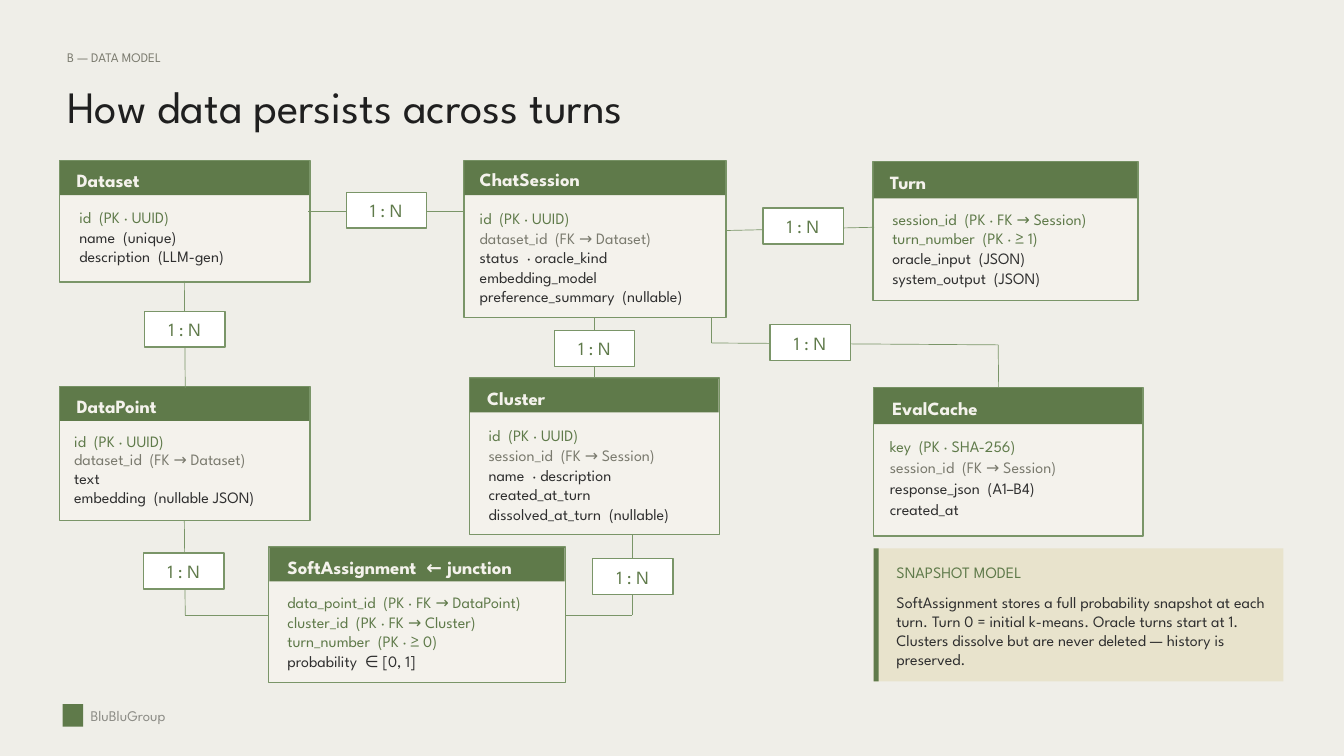
from pptx import Presentation
from pptx.dml.color import RGBColor
from pptx.enum.shapes import MSO_CONNECTOR, MSO_SHAPE
from pptx.enum.text import MSO_ANCHOR, PP_ALIGN
from pptx.oxml.ns import qn
from pptx.util import Pt
from lxml.etree import SubElement

COLORS = {
    "background": "EFEEE8",
    "panel": "F4F2EC",
    "green": "5F7A4A",
    "border": "7A9568",
    "ink": "2F2F2F",
    "title": "1F1F1F",
    "muted": "7A7A6E",
    "footer": "8C8C86",
    "note": "E8E3CC",
    "white": "FFFFFF",
}

ENTITIES = [
    ("Dataset", (64, 172, 268, 130), 36.5, (82, 181), (85, 222.5), 21,
     ["id  (PK · UUID)", "name  (unique)", "description  (LLM-gen)"]),
    ("ChatSession", (497, 172, 281, 168.5), 36.5, (514, 180), (514, 224), 20.8,
     ["id  (PK · UUID)", "dataset_id  (FK → Dataset)", "status  · oracle_kind",
      "embedding_model", "preference_summary  (nullable)"]),
    ("Turn", (935.5, 173, 284, 149), 39, (953.5, 183.5), (956, 224.5), 21,
     ["session_id  (PK · FK → Session)", "turn_number  (PK · ≥ 1)",
      "oracle_input  (JSON)", "system_output  (JSON)"]),
    ("DataPoint", (64, 414, 268, 144), 36.5, (82, 422.5), (79.5, 462), 20.2,
     ["id  (PK · UUID)", "dataset_id  (FK → Dataset)", "text",
      "embedding  (nullable JSON)"]),
    ("Cluster", (503, 405, 268, 168), 36.5, (522, 414), (523.5, 456.5), 21,
     ["id  (PK · UUID)", "session_id  (FK → Session)", "name  · description",
      "created_at_turn", "dissolved_at_turn  (nullable)"]),
    ("EvalCache", (936, 415, 288.5, 159.5), 39, (956, 425.5), (953.5, 467.5), 22.5,
     ["key  (PK · SHA-256)", "session_id  (FK → Session)",
      "response_json  (A1–B4)", "created_at"]),
    ("SoftAssignment  ← junction", (288, 586, 318, 145), 36.5, (308, 595), (308, 635), 21,
     ["data_point_id  (PK · FK → DataPoint)", "cluster_id  (PK · FK → Cluster)",
      "turn_number  (PK · ≥ 0)", "probability  ∈ [0, 1]"]),
]

RELATIONS = [
    [(330.5, 226), (497, 226)],
    [(777.5, 247), (936.5, 243.5)],
    [(197.5, 301), (198.5, 415.5)],
    [(637, 340.5), (637, 405.5)],
    [(762.5, 340.5), (762.5, 367.5), (1069.5, 369.5), (1070, 415.5)],
    [(197.5, 558), (198.5, 659), (288.5, 659)],
    [(606, 659), (677.5, 659), (677.5, 573)],
]

BADGES = [(155, 333.5), (154, 592.5), (635, 598.5), (594, 354),
          (371, 206), (817.5, 223), (825, 348)]


class DiagramSlide:
    font_name = "League Spartan"

    def __init__(self, slide):
        self.slide = slide
        fill = slide.background.fill
        fill.solid()
        fill.fore_color.rgb = self.color("background")

    def color(self, name):
        return RGBColor.from_string(COLORS[name])

    def set_text(self, shape, content, size, color, bold=False, align=PP_ALIGN.LEFT,
                 anchor=MSO_ANCHOR.TOP):
        text_frame = shape.text_frame
        text_frame.margin_left = text_frame.margin_right = 0
        text_frame.margin_top = text_frame.margin_bottom = 0
        text_frame.word_wrap = True
        text_frame.vertical_anchor = anchor
        text_frame.text = content
        paragraph = text_frame.paragraphs[0]
        paragraph.alignment = align
        paragraph.line_spacing = Pt(size * 1.2)
        font = paragraph.runs[0].font
        font.name = self.font_name
        font.size = Pt(size)
        font.bold = bold
        font.color.rgb = self.color(color)

    def text(self, box, content, size, color, **options):
        shape = self.slide.shapes.add_textbox(*map(Pt, box))
        self.set_text(shape, content, size, color, **options)

    def rectangle(self, box, fill, border=None):
        shape = self.slide.shapes.add_shape(MSO_SHAPE.RECTANGLE, *map(Pt, box))
        shape.shadow.inherit = False
        shape.fill.solid()
        shape.fill.fore_color.rgb = self.color(fill)
        if border:
            shape.line.color.rgb = self.color(border)
            shape.line.width = Pt(1.5)
        else:
            shape.line.fill.background()
        return shape

    def entity(self, name, box, header_height, title_at, rows_at, pitch, rows):
        left, top, width, height = box
        self.rectangle(box, "panel", "border")
        self.rectangle((left + 0.5, top + 0.5, width - 1.5, header_height), "green")
        self.text((*title_at, width - 36, 24), name, 20, "panel", bold=True)
        row_left, row_top = rows_at
        for index, row in enumerate(rows):
            color = "green" if "(PK" in row else "muted" if "(FK" in row else "ink"
            self.text((row_left, row_top + index * pitch, width - 36, 20.5), row, 17, color)

    def relation(self, points):
        for start, end in zip(points, points[1:]):
            connector = self.slide.shapes.add_connector(
                MSO_CONNECTOR.STRAIGHT, *map(Pt, start + end))
            connector.line.color.rgb = self.color("border")
            connector.line.width = Pt(0.75)
            SubElement(connector._element.spPr, qn("a:effectLst"))

    def badge(self, left, top):
        shape = self.rectangle((left, top, 86, 38.5), "white", "border")
        self.set_text(shape, "1 : N", 20, "green", align=PP_ALIGN.CENTER,
                      anchor=MSO_ANCHOR.MIDDLE)

    def note(self, box, heading, body):
        left, top, width, height = box
        self.rectangle(box, "note")
        self.rectangle((left, top, 5.5, height), "green")
        self.text((left + 24.5, top + 15, 396, 20.5), heading, 17, "green")
        self.text((left + 24.5, top + 47.5, 396, 82), body, 17, "ink")


def main():
    presentation = Presentation()
    presentation.slide_width = Pt(1440)
    presentation.slide_height = Pt(810)
    diagram = DiagramSlide(presentation.slides.add_slide(presentation.slide_layouts[6]))

    diagram.text((72, 52.5, 634, 17), "B — DATA MODEL", 14, "muted")
    diagram.text((72, 84, 1296, 79), "How data persists across turns", 48, "title")
    for entity in ENTITIES:
        diagram.entity(*entity)
    for points in RELATIONS:
        diagram.relation(points)
    for position in BADGES:
        diagram.badge(*position)
    diagram.note(
        (936, 587.5, 439, 142.5), "SNAPSHOT MODEL",
        "SoftAssignment stores a full probability snapshot at each turn. "
        "Turn 0 = initial k-means. Oracle turns start at 1. "
        "Clusters dissolve but are never deleted — history is preserved.")
    diagram.rectangle((67, 754.5, 22, 24), "green")
    diagram.text((97, 753, 324, 28), "BluBluGroup", 15.8, "footer",
                 anchor=MSO_ANCHOR.MIDDLE)

    presentation.save("out.pptx")


if __name__ == "__main__":
    main()
